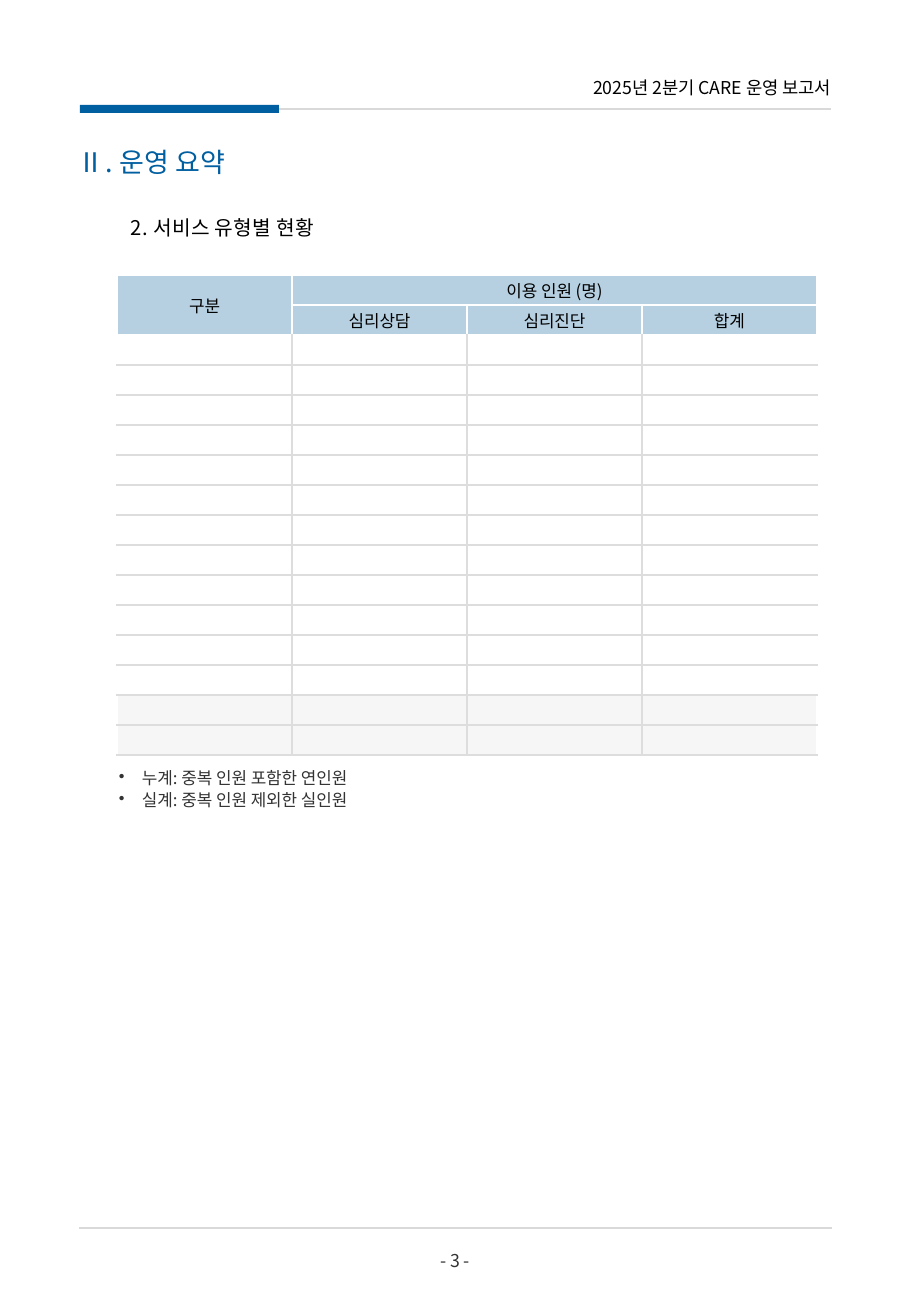
from lxml.etree import SubElement
from pptx import Presentation
from pptx.dml.color import RGBColor
from pptx.enum.shapes import MSO_CONNECTOR, MSO_SHAPE
from pptx.enum.text import MSO_ANCHOR, PP_ALIGN
from pptx.oxml.ns import qn
from pptx.util import Pt

SCALE = 7526
FONT = "Noto Sans CJK KR"
BLUE = RGBColor(0x00, 0x5F, 0xA1)
PALE = RGBColor(0xB6, 0xD0, 0xE1)
BLACK = RGBColor(0x00, 0x00, 0x00)
DARK = RGBColor(0x33, 0x33, 0x33)
RULE = RGBColor(0xD9, 0xD9, 0xD9)
GRID = RGBColor(0xDD, 0xDD, 0xDD)
WHITE = RGBColor(0xFF, 0xFF, 0xFF)
TOTAL = RGBColor(0xF6, 0xF6, 0xF6)
ROWS, COLS = 16, 4
HEADS = {
    (0, 0): ["구분"],
    (0, 1): ["이용 인원 ", "(명)"],
    (1, 1): ["심리상담"],
    (1, 2): ["심리진단"],
    (1, 3): ["합계"],
}


def px(*nums):
    return [num * SCALE for num in nums]


def add_run(para, text, size, color, gap=0):
    run = para.add_run()
    run.text = text
    run.font.name = FONT
    run.font.size = Pt(size)
    run.font.color.rgb = color
    props = run._r.get_or_add_rPr()
    SubElement(props, qn("a:ea")).set("typeface", FONT)
    if gap:
        props.set("spc", str(gap))


def add_text(slide, box, lines, size, color, align=PP_ALIGN.LEFT, gap=0, dot=False):
    frame = slide.shapes.add_textbox(*px(*box)).text_frame
    frame.word_wrap = True
    frame.margin_left = frame.margin_right = 0
    frame.margin_top = frame.margin_bottom = 0
    for i, line in enumerate(lines):
        para = frame.add_paragraph() if i else frame.paragraphs[0]
        para.alignment = align
        para.space_before = Pt(1)
        if dot:
            props = para._p.get_or_add_pPr()
            props.set("marL", str(24 * SCALE))
            props.set("indent", str(-23 * SCALE))
            SubElement(props, qn("a:buChar")).set("char", "•")
        add_run(para, line, size, color, gap)


def add_line(slide, left, right, y):
    ends = px(left, y, right, y)
    line = slide.shapes.add_connector(MSO_CONNECTOR.STRAIGHT, *ends)
    line.line.color.rgb = RULE
    line.line.width = Pt(0.75)
    SubElement(line._element.spPr, qn("a:effectLst"))


def add_bar(slide, *box):
    bar = slide.shapes.add_shape(MSO_SHAPE.RECTANGLE, *px(*box))
    bar.shadow.inherit = False
    bar.fill.solid()
    bar.fill.fore_color.rgb = BLUE
    bar.line.fill.background()


def add_edge(cell, side, color):
    edge = SubElement(cell._tc.get_or_add_tcPr(), qn("a:ln" + side))
    edge.set("w", str(Pt(1)))
    fill = SubElement(edge, qn("a:solidFill"))
    SubElement(fill, qn("a:srgbClr")).set("val", str(color))


def style_cell(cell, row, col):
    cell.margin_left = cell.margin_right = 5 * SCALE
    cell.margin_top = cell.margin_bottom = 2 * SCALE
    cell.vertical_anchor = MSO_ANCHOR.MIDDLE
    head = row < 2
    edge = WHITE if head else GRID
    if head or col > 0:
        add_edge(cell, "L", edge)
    if head or col < COLS - 1:
        add_edge(cell, "R", edge)
    add_edge(cell, "T", WHITE if row < 3 else GRID)
    add_edge(cell, "B", edge)
    if head or row >= ROWS - 2:
        cell.fill.solid()
        cell.fill.fore_color.rgb = PALE if head else TOTAL
    else:
        cell.fill.background()
    para = cell.text_frame.paragraphs[0]
    para.alignment = PP_ALIGN.CENTER
    for text in HEADS.get((row, col), []):
        add_run(para, text, 10, BLACK)
    if (row, col) not in HEADS:
        para._p.get_or_add_endParaRPr().set("sz", "800")


def add_grid(slide):
    box = px(117, 275, 175 * COLS, 30 * ROWS)
    table = slide.shapes.add_table(ROWS, COLS, *box).table
    table.horz_banding = table.first_row = False
    for row in range(ROWS):
        for col in range(COLS):
            style_cell(table.cell(row, col), row, col)
    table.cell(0, 0).merge(table.cell(1, 0))
    table.cell(0, 1).merge(table.cell(0, 3))


def main():
    deck = Presentation()
    deck.slide_width, deck.slide_height = px(911, 1316)
    slide = deck.slides.add_slide(deck.slide_layouts[6])
    add_line(slide, 259, 831, 109)
    add_bar(slide, 80, 105, 199, 8)
    add_line(slide, 79, 832, 1228)
    add_text(slide, (430, 1250, 50, 25), ["- 3 -"], 10.5, DARK, PP_ALIGN.CENTER)
    add_grid(slide)
    notes = ["누계: 중복 인원 포함한 연인원", "실계: 중복 인원 제외한 실인원"]
    add_text(slide, (118, 768, 693, 44), notes, 10, DARK, dot=True)
    add_text(slide, (78, 146, 272, 45), ["Ⅱ. 운영 요약"], 16, BLUE, gap=20)
    add_text(slide, (131, 215, 232, 30), ["2. 서비스 유형별 현황"], 12, BLACK, gap=20)
    title = ["2025년 2분기 CARE 운영 보고서"]
    add_text(slide, (583, 77, 248, 44), title, 10.5, BLACK, PP_ALIGN.RIGHT)
    deck.save("out.pptx")


if __name__ == "__main__":
    main()
